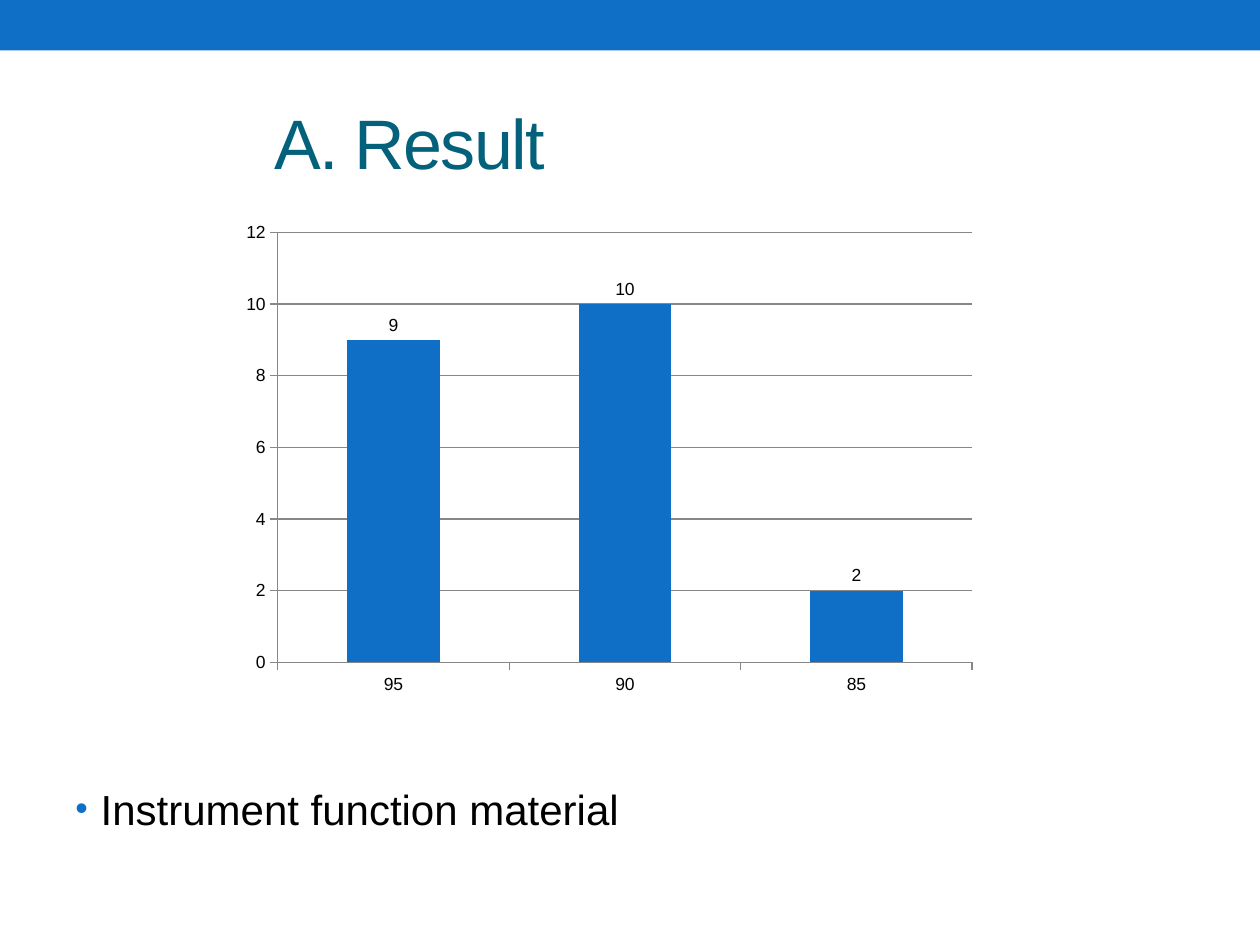
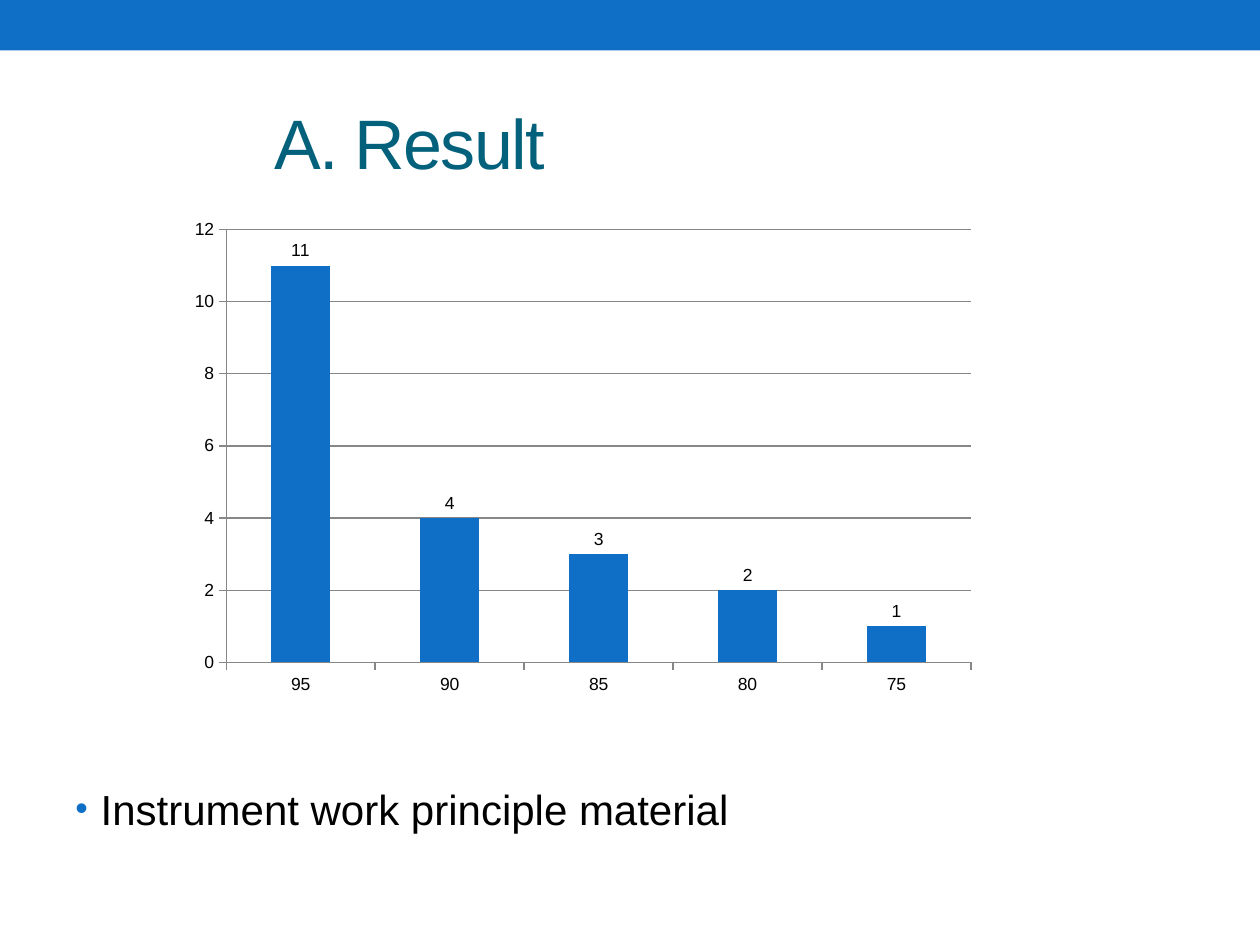
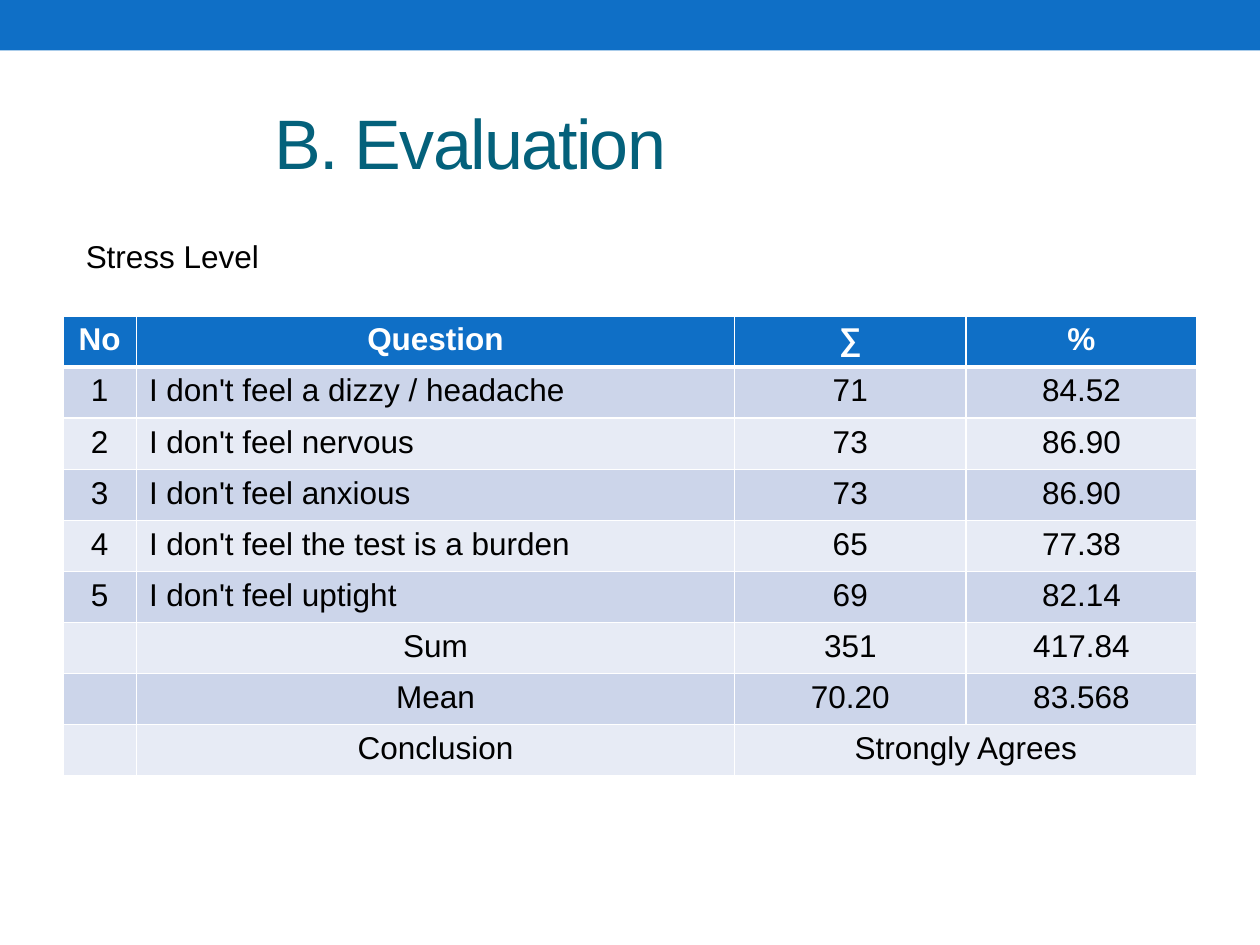
import pptx
import pptx.chart.data
import pptx.dml.color
import pptx.enum.chart
import pptx.enum.shapes
import pptx.enum.text
import pptx.oxml
import pptx.util
from lxml import etree

Cm = pptx.util.Cm
Pt = pptx.util.Pt
RGBColor = pptx.dml.color.RGBColor
ALIGN = pptx.enum.text.PP_ALIGN
ANCHOR = pptx.enum.text.MSO_ANCHOR

BLUE = RGBColor(0x0F, 0x6F, 0xC6)
TEAL = RGBColor(0x04, 0x61, 0x7B)
BLACK = RGBColor(0, 0, 0)
WHITE = RGBColor(0xFF, 0xFF, 0xFF)
GREY = RGBColor(0x87, 0x87, 0x87)
BAND_DARK = RGBColor(0xCC, 0xD5, 0xEA)
BAND_LIGHT = RGBColor(0xE7, 0xEB, 0xF5)
FONT = "Arial"
WIDTH, HEIGHT = 25.4, 19.05

RESULTS = [
    {
        "title": "A. Result",
        "caption": "Instrument function material",
        "place": (4.66, 4.29, 15.24, 9.91),
        "counts": {"95": 9, "90": 10, "85": 2},
    },
    {
        "title": "A. Result",
        "caption": "Instrument work principle material",
        "place": (3.6, 4.23, 16.3, 9.97),
        "counts": {"95": 11, "90": 4, "85": 3, "80": 2, "75": 1},
    },
]

EVALUATION_TITLE = "B. Evaluation"
TABLE_LABEL = "Stress Level"
HEADINGS = ("No", "Question", "∑", "%")
ANSWERS = [
    ("1", "I don't feel a dizzy / headache", "71", "84.52"),
    ("2", "I don't feel nervous", "73", "86.90"),
    ("3", "I don't feel anxious", "73", "86.90"),
    ("4", "I don't feel the test is a burden", "65", "77.38"),
    ("5", "I don't feel uptight", "69", "82.14"),
]
TOTALS = [
    ("", "Sum", "351", "417.84"),
    ("", "Mean", "70.20", "83.568"),
    ("", "Conclusion", "Strongly Agrees", ""),
]
COLUMN_WIDTHS = (1.48, 12.06, 4.66, 4.66)
ROW_HEIGHT = 1.03


def style_font(font, size, color, bold=False):
    font.name = FONT
    font.size = Pt(size)
    font.bold = bold
    font.color.rgb = color


def add_text(page, text, place, size, color, wrap=True):
    box = page.shapes.add_textbox(*map(Cm, place))
    box.text_frame.word_wrap = wrap
    para = box.text_frame.paragraphs[0]
    para.add_run().text = text
    style_font(para.font, size, color)
    return box


def add_page(deck, title):
    page = deck.slides.add_slide(deck.slide_layouts[6])
    band = page.shapes.add_shape(
        pptx.enum.shapes.MSO_SHAPE.RECTANGLE, 0, 0, Cm(WIDTH), Cm(1.02))
    band.shadow.inherit = False
    band.fill.solid()
    band.fill.fore_color.rgb = BLUE
    band.line.fill.background()
    box = add_text(page, title, (5.29, 1.48, 18.84, 2.75), 40, TEAL)
    box.text_frame.vertical_anchor = ANCHOR.MIDDLE
    span = box.text_frame.paragraphs[0].runs[0]
    span._r.get_or_add_rPr().set("spc", "-100")
    return page


def add_bullet(para, color):
    props = para._p.get_or_add_pPr()
    props.set("marL", str(Cm(0.51)))
    props.set("indent", str(-Cm(0.51)))
    marks = pptx.oxml.parse_xml(
        '<a:pPr xmlns:a="http://schemas.openxmlformats.org/drawingml/2006/main">'
        f'<a:buClr><a:srgbClr val="{color}"/></a:buClr>'
        '<a:buSzPct val="85000"/><a:buFont typeface="Arial"/>'
        '<a:buChar char="•"/></a:pPr>')
    position = len(props.findall(pptx.oxml.ns.qn("a:spcBef")))
    for offset, mark in enumerate(list(marks)):
        props.insert(position + offset, mark)


def add_caption(page, text):
    box = add_text(page, text, (1.27, 15.67, 22.86, 2.34), 24, BLACK)
    para = box.text_frame.paragraphs[0]
    para.space_before = Pt(4.8)
    add_bullet(para, BLUE)


def style_line(line):
    line.color.rgb = GREY
    line.width = Pt(0.75)


def add_counts_chart(page, counts, place):
    data = pptx.chart.data.CategoryChartData()
    data.categories = list(counts)
    data.add_series("Series 1", list(counts.values()))
    chart = page.shapes.add_chart(
        pptx.enum.chart.XL_CHART_TYPE.COLUMN_CLUSTERED, *map(Cm, place), data).chart
    chart.has_legend = False
    chart.has_title = False
    style_font(chart.font, 10, BLACK)
    plot = chart.plots[0]
    plot.gap_width = 150
    plot.vary_by_categories = False
    plot.has_data_labels = True
    plot.data_labels.show_value = True
    plot.data_labels.position = pptx.enum.chart.XL_LABEL_POSITION.OUTSIDE_END
    fill = plot.series[0].format.fill
    fill.solid()
    fill.fore_color.rgb = BLUE
    for axis in (chart.category_axis, chart.value_axis):
        axis.major_tick_mark = pptx.enum.chart.XL_TICK_MARK.OUTSIDE
        axis.minor_tick_mark = pptx.enum.chart.XL_TICK_MARK.NONE
        style_line(axis.format.line)
    scale = chart.value_axis
    scale.minimum_scale, scale.maximum_scale, scale.major_unit = 0, 12, 2
    scale.has_major_gridlines = True
    style_line(scale.major_gridlines.format.line)


def add_borders(cell, widths):
    props = cell._tc.get_or_add_tcPr()
    for side, width in widths.items():
        line = etree.SubElement(
            props, pptx.oxml.ns.qn("a:ln" + side), w=str(Pt(width)))
        fill = etree.SubElement(line, pptx.oxml.ns.qn("a:solidFill"))
        etree.SubElement(fill, pptx.oxml.ns.qn("a:srgbClr"), val=str(WHITE))


def add_answers_table(page):
    rows = [HEADINGS] + ANSWERS + TOTALS
    table = page.shapes.add_table(
        len(rows), len(HEADINGS), Cm(1.27), Cm(6.37),
        Cm(sum(COLUMN_WIDTHS)), Cm(ROW_HEIGHT * len(rows))).table
    for column, width in zip(table.columns, COLUMN_WIDTHS):
        column.width = Cm(width)
    for row_index, texts in enumerate(rows):
        table.rows[row_index].height = Cm(ROW_HEIGHT)
        heading = row_index == 0
        band = BLUE if heading else BAND_DARK if row_index % 2 else BAND_LIGHT
        for column_index, text in enumerate(texts):
            cell = table.cell(row_index, column_index)
            add_borders(cell, {"L": 1, "R": 1, "T": 3 if row_index == 1 else 1,
                               "B": 3 if heading else 1})
            cell.fill.solid()
            cell.fill.fore_color.rgb = band
            para = cell.text_frame.paragraphs[0]
            if text:
                para.add_run().text = text
            question = column_index == 1 and texts in ANSWERS
            para.alignment = ALIGN.LEFT if question else ALIGN.CENTER
            style_font(para.font, 18, WHITE if heading else BLACK, heading)
    last = len(rows) - 1
    table.cell(last, 2).merge(table.cell(last, 3))


deck = pptx.Presentation()
deck.slide_width, deck.slide_height = Cm(WIDTH), Cm(HEIGHT)

for result in RESULTS:
    page = add_page(deck, result["title"])
    add_caption(page, result["caption"])
    add_counts_chart(page, result["counts"], result["place"])

page = add_page(deck, EVALUATION_TITLE)
add_answers_table(page)
add_text(page, TABLE_LABEL, (1.48, 4.66, 4.03, 1.03), 18, BLACK, wrap=False)

deck.save("out.pptx")
